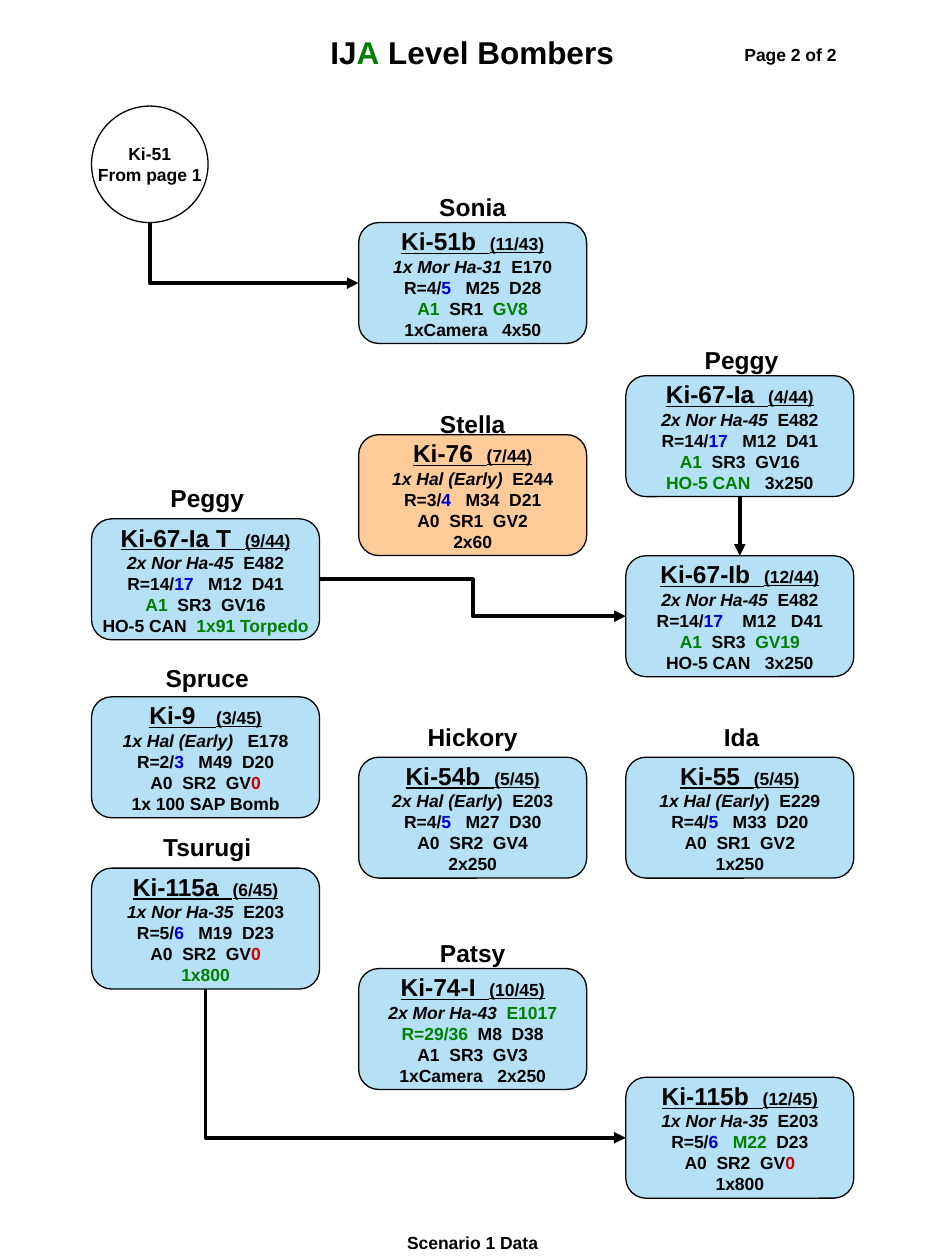
from lxml import etree
from pptx import Presentation
from pptx import util as u
from pptx.dml.color import RGBColor
from pptx.enum import shapes, text
from pptx.oxml.ns import qn

Pt = u.Pt
BLACK, GREEN, BLUE, RED = "000000", "008000", "0000CC", "CC0000"
SKY, PEACH, WHITE = "B5E0F5", "FFCC99", "FFFFFF"

# Lines are split at "|"; the first character of a piece may set its format
MARKS = {
    "~": {"italic": True},
    "+": {"color": GREEN},
    "@": {"color": BLUE},
    "!": {"color": RED},
}

# Card grid, and how far each column's names sit right of the card centre
CARD_W, CARD_H = 130.3, 69.1
COL_X = [52.3 + 152.65 * i for i in range(3)]
NAME_DX = [1, 0, 1]

# key: column, top, code name, name width, name rise above card, heading, date, lines
CARDS = {
    "Ki-51b": (1, 127.2, "Sonia", 54, 21.2, "Ki-51b  ", "(11/43)",
               ["~1x Mor Ha-31|  E170", "R=4/|@5|   M25  D28",
                "+A1 | SR1  |+GV8", "1xCamera   4x50"]),
    "Ki-67-Ia": (2, 214.7, "Peggy", 59, 21, "Ki-67-Ia  ", "(4/44)",
                 ["~2x Nor Ha-45|  E482", "R=14/|@17|   M12  D41",
                  "+A1|  SR3  GV16", "+HO-5 CAN|   3x250"]),
    "Ki-76": (1, 248.4, "Stella", 54, 18.3, "Ki-76  ", "(7/44)",
              ["~1x Hal (Early)|  E244", "R=3/|@4|   M34  D21",
               "A0  SR1  GV2", "2x60"]),
    "Ki-67-Ia T": (0, 296.5, "Peggy", 59, 24.3, "Ki-67-Ia T  ", "(9/44)",
                   ["~2x Nor Ha-45|  E482", "R=14/|@17|   M12  D41",
                    "+A1|  SR3  GV16", "HO-5 CAN  |+1x91 Torpedo"]),
    "Ki-67-Ib": (2, 317.6, None, 0, 0, "Ki-67-Ib  ", "(12/44)",
                 ["~2x Nor Ha-45|  E482", "R=14/|@17|    M12   D41",
                  "+A1|  SR3  |+GV19", "HO-5 CAN   3x250"]),
    "Ki-9": (0, 398.2, "Spruce", 64, 23, "Ki-9   ", "(3/45)",
             ["~1x Hal (Early) |  E178", "R=2/|@3|   M49  D20",
              "A0  SR2  GV|!0", "1x 100 SAP Bomb"]),
    "Ki-54b": (1, 432.7, "Hickory", 69, 23.8, "Ki-54b  ", "(5/45)",
               ["~2x Hal (Early|)  E203", "R=4/|@5|   M27  D30",
                "A0  SR2  GV4", "2x250"]),
    "Ki-55": (2, 432.7, "Ida", 37, 23.8, "Ki-55  ", "(5/45)",
              ["~1x Hal (Early|)  E229", "R=4/|@5|   M33  D20",
               "A0  SR1  GV2", "1x250"]),
    "Ki-115a": (0, 496.1, "Tsurugi", 68, 24.5, "Ki-115a  ", "(6/45)",
                ["~1x Nor Ha-35|  E203", "R=5/|@6 |  M19  D23",
                 "A0  SR2  GV|!0", "+1x800"]),
    "Ki-74-I": (1, 553.5, "Patsy", 54, 21.2, "Ki-74-I  ", "(10/45)",
                ["~2x Mor Ha-43 |+ E1017", "+R=29/36 | M8  D38",
                 "A1  SR3  GV3", "1xCamera   2x250"]),
    "Ki-115b": (2, 615.6, None, 0, 0, "Ki-115b  ", "(12/45)",
                ["~1x Nor Ha-35|  E203", "R=5/|@6   |+M22 | D23",
                 "A0  SR2  GV|!0", "1x800"]),
}


def rgb(value):
    return RGBColor.from_string(value)


def add_run(p, txt, size=10, color=BLACK, italic=False, underline=False):
    r = p.add_run()
    r.text = txt
    f = r.font
    f.name, f.size, f.bold = "Arial", Pt(size), True
    f.italic, f.underline = italic, underline
    f.color.rgb = rgb(color)


def add_line(p, line, size=10):
    p.alignment = text.PP_ALIGN.CENTER
    for part in line.split("|"):
        fmt = MARKS.get(part[0], {})
        add_run(p, part[1:] if fmt else part, size=size, **fmt)


def add_label(s, box, line, size):
    sp = s.shapes.add_textbox(*map(Pt, box))
    tf = sp.text_frame
    tf.word_wrap = False
    tf.auto_size = text.MSO_AUTO_SIZE.SHAPE_TO_FIT_TEXT
    add_line(tf.paragraphs[0], line, size)


def add_node(s, kind, box, fill):
    """Outlined shape with an empty, centred text frame, which is returned."""
    sp = s.shapes.add_shape(kind, *map(Pt, box))
    sp.shadow.inherit = False
    sp.fill.solid()
    sp.fill.fore_color.rgb = rgb(fill)
    sp.line.color.rgb = rgb(BLACK)
    sp.line.width = Pt(0.75)
    tf = sp.text_frame
    tf.word_wrap = False
    tf.vertical_anchor = text.MSO_ANCHOR.MIDDLE
    return tf


def add_card(s, box, heading, date, lines, fill):
    tf = add_node(s, shapes.MSO_SHAPE.ROUNDED_RECTANGLE, box, fill)
    p = tf.paragraphs[0]
    p.alignment = text.PP_ALIGN.CENTER
    add_run(p, heading, size=14, underline=True)
    add_run(p, date, underline=True)
    for line in lines:
        add_line(tf.add_paragraph(), line)


def add_arrow(s, start, end, kind=shapes.MSO_CONNECTOR.STRAIGHT):
    c = s.shapes.add_connector(kind, *map(Pt, start + end))
    c.line.color.rgb = rgb(BLACK)
    c.line.width = Pt(2.25)
    etree.SubElement(c.line._get_or_add_ln(), qn("a:tailEnd"), type="triangle")
    etree.SubElement(c._element.spPr, qn("a:effectLst"))
    return c


def add_corner_arrow(s, start, end):
    """Arrow that goes down and then right: a one-bend connector, turned 270°."""
    (x1, y1), (x2, y2) = start, end
    cx, cy = (x1 + x2) / 2, (y1 + y2) / 2
    half_w, half_h = (y2 - y1) / 2, (x2 - x1) / 2
    c = add_arrow(s, (cx + half_w, cy - half_h), (cx - half_w, cy + half_h),
                  shapes.MSO_CONNECTOR.ELBOW)
    spPr = c._element.spPr
    spPr.find(qn("a:xfrm")).set("rot", "16200000")
    spPr.find(qn("a:prstGeom")).set("prst", "bentConnector2")


def add_cards(s):
    for key, (col, top, name, name_w, rise, heading, date, lines) in CARDS.items():
        x = COL_X[col]
        fill = PEACH if key == "Ki-76" else SKY
        add_card(s, (x, top, CARD_W, CARD_H), heading, date, lines, fill)
        if name:
            name_x = x + (CARD_W - name_w) / 2 + NAME_DX[col]
            add_label(s, (name_x, top - rise, name_w, 24.3), name, 14)


def anchor(key, fx, fy):
    """Point on a card, given as fractions of its width and height."""
    col, top = CARDS[key][:2]
    return COL_X[col] + fx * CARD_W, top + fy * CARD_H


def main():
    prs = Presentation()
    prs.slide_width, prs.slide_height = Pt(540), Pt(720)
    s = prs.slides.add_slide(prs.slide_layouts[6])

    # Title, page number and footer
    add_label(s, (180.8, 15.1, 178, 28.8), "IJ|+A| Level Bombers", 18)
    add_label(s, (417.2, 21.6, 69, 19.4), "Page 2 of 2", 10)
    add_label(s, (224.5, 700.6, 91, 19.4), "Scenario 1 Data", 10)

    # Link from the previous page
    x, y, d = COL_X[0], 60.6, 66.6
    tf = add_node(s, shapes.MSO_SHAPE.OVAL, (x, y, d, d), WHITE)
    add_line(tf.paragraphs[0], "Ki-51")
    add_line(tf.add_paragraph(), "From page 1")

    add_cards(s)

    # Development paths
    add_corner_arrow(s, (x + d / 2, y + d), anchor("Ki-51b", 0, 0.5))
    add_arrow(s, anchor("Ki-67-Ia", 0.5, 1), anchor("Ki-67-Ib", 0.5, 0))
    add_arrow(s, anchor("Ki-67-Ia T", 1, 0.5), anchor("Ki-67-Ib", 0, 0.5),
              shapes.MSO_CONNECTOR.ELBOW)
    add_corner_arrow(s, anchor("Ki-115a", 0.5, 1), anchor("Ki-115b", 0, 0.5))

    prs.save("out.pptx")


if __name__ == "__main__":
    main()
